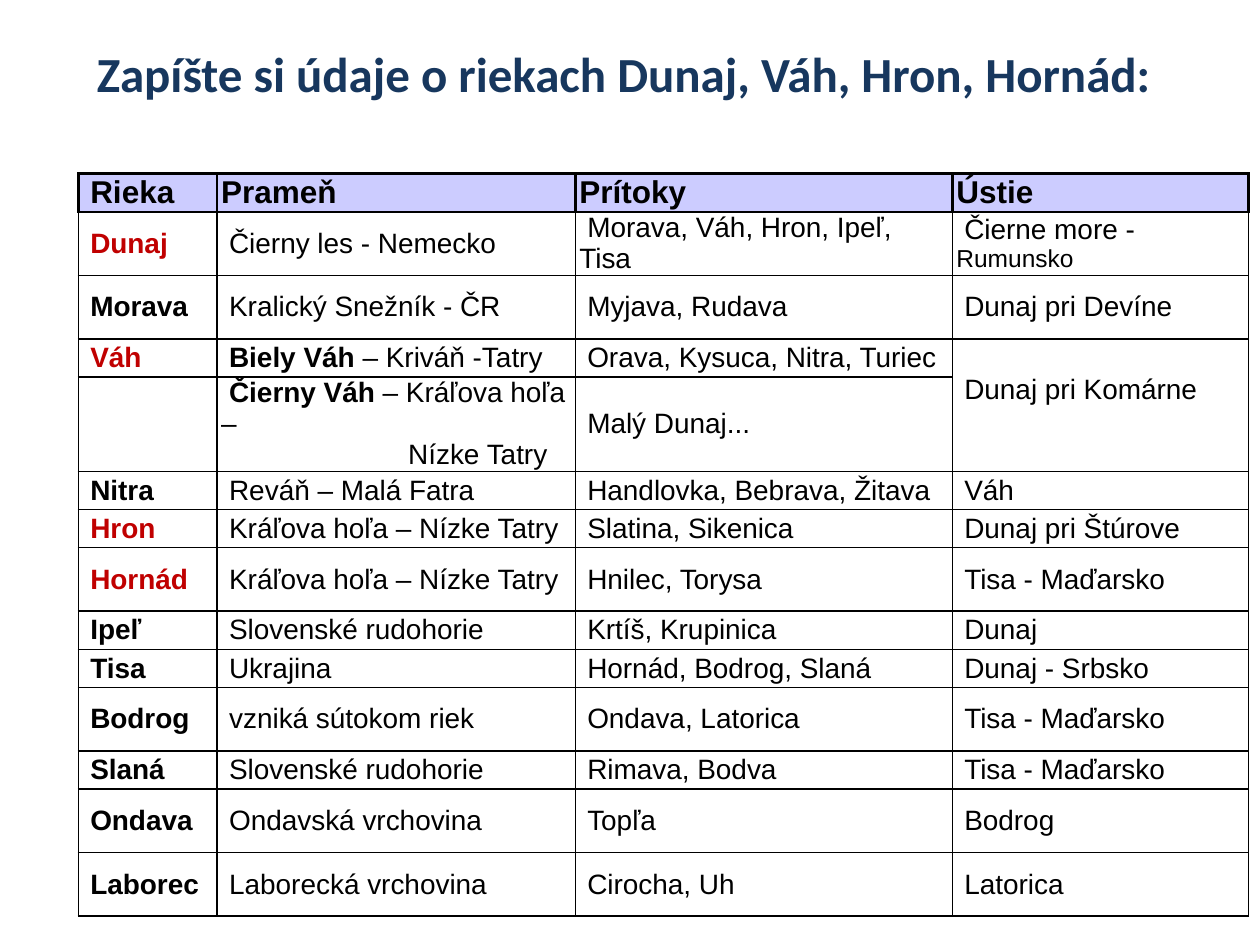
from dataclasses import dataclass

from lxml import etree
from pptx import Presentation
from pptx import util as u
from pptx.dml.color import RGBColor
from pptx.enum import text
from pptx.oxml import ns


@dataclass(frozen=True)
class Theme:
    title: RGBColor = RGBColor(0x17, 0x37, 0x5E)
    ink: RGBColor = RGBColor(0, 0, 0)
    highlight: RGBColor = RGBColor(0xC0, 0, 0)
    header_fill: RGBColor = RGBColor(0xCC, 0xCC, 0xFF)
    body_fill: RGBColor = RGBColor(0xFF, 0xFF, 0xFF)
    title_font: str = "Calibri"
    table_font: str = "Arial"
    title_size: u.Pt = u.Pt(28)
    header_size: u.Pt = u.Pt(18)
    body_size: u.Pt = u.Pt(16)
    small_size: u.Pt = u.Pt(14)


THEME = Theme()
LOW, TALL, TRIPLE = u.Cm(0.77), u.Cm(1.28), u.Cm(1.9)
FIRST_LINE, DEEP_LINE = u.Cm(0.16), u.Cm(3.77)
COLUMN_WIDTHS = [u.Cm(2.8), u.Cm(7.22), u.Cm(7.6), u.Cm(5.97)]
HIGHLIGHTED = {"Dunaj", "Váh", "Hron", "Hornád"}

# Row height, then the cells; "|" separates runs and a line break separates paragraphs.
ROWS = [
    (LOW, "Rieka", "Prameň", "Prítoky", "Ústie"),
    (TALL, "Dunaj", "Čierny les - Nemecko", "Morava, Váh, Hron, Ipeľ, Tisa", "Čierne more - |Rumunsko"),
    (TALL, "Morava", "Kralický Snežník - ČR", "Myjava, Rudava", "Dunaj pri Devíne"),
    (LOW, "Váh", "Biely Váh| – Kriváň -Tatry", "Orava, Kysuca, Nitra, Turiec", "Dunaj pri Komárne"),
    (TRIPLE, "", "Čierny Váh| – Kráľova hoľa –\nNízke Tatry", "Malý Dunaj...", ""),
    (LOW, "Nitra", "Reváň – Malá Fatra", "Handlovka, Bebrava, Žitava", "Váh"),
    (LOW, "Hron", "Kráľova hoľa – Nízke Tatry", "Slatina, Sikenica", "Dunaj pri Štúrove"),
    (TALL, "Hornád", "Kráľova hoľa – Nízke Tatry", "Hnilec, Torysa", "Tisa - Maďarsko"),
    (LOW, "Ipeľ", "Slovenské rudohorie", "Krtíš, Krupinica", "Dunaj"),
    (LOW, "Tisa", "Ukrajina", "Hornád, Bodrog, Slaná", "Dunaj - Srbsko"),
    (TALL, "Bodrog", "vzniká sútokom riek", "Ondava, Latorica", "Tisa - Maďarsko"),
    (LOW, "Slaná", "Slovenské rudohorie", "Rimava, Bodva", "Tisa - Maďarsko"),
    (TALL, "Ondava", "Ondavská vrchovina", "Topľa", "Bodrog"),
    (TALL, "Laborec", "Laborecká vrchovina", "Cirocha, Uh", "Latorica"),
]


def set_borders(cell, top, others):
    """Draw the four cell borders; call before the fill is set."""
    properties = cell._tc.get_or_add_tcPr()
    for side in ("L", "R", "T", "B"):
        width = top if side == "T" else others
        line = etree.SubElement(properties, ns.qn(f"a:ln{side}"), w=str(width))
        fill = etree.SubElement(line, ns.qn("a:solidFill"))
        etree.SubElement(fill, ns.qn("a:srgbClr"), val=str(THEME.ink))


def write_paragraph(paragraph, content, indent, size, bold, color):
    properties = paragraph._p.get_or_add_pPr()
    properties.set("marL", "0")
    properties.set("indent", str(indent))
    for part in content.split("|"):
        if part:
            paragraph.add_run().text = part
    paragraph.font.name = THEME.table_font
    paragraph.font.size = size
    paragraph.font.bold = bold
    paragraph.font.color.rgb = color


presentation = Presentation()
presentation.slide_width, presentation.slide_height = u.Cm(25.4), u.Cm(19.05)
slide = presentation.slides.add_slide(presentation.slide_layouts[5])

title = slide.shapes.title
title.left, title.top, title.width, title.height = u.Cm(1.7), u.Cm(0.74), u.Cm(22.8), u.Cm(1.45)
title.text_frame.text = "Zapíšte si údaje o riekach Dunaj, Váh, Hron, Hornád:"
title.text_frame.vertical_anchor = text.MSO_ANCHOR.TOP
title.text_frame.auto_size = text.MSO_AUTO_SIZE.NONE
heading = title.text_frame.paragraphs[0]
heading.alignment = text.PP_ALIGN.LEFT
heading.font.name = THEME.title_font
heading.font.size = THEME.title_size
heading.font.bold = True
heading.font.color.rgb = THEME.title

table = slide.shapes.add_table(
    len(ROWS), len(COLUMN_WIDTHS), u.Cm(1.58), u.Cm(3.5),
    sum(COLUMN_WIDTHS), sum(row[0] for row in ROWS),
).table
table.first_row = table.horz_banding = False
for column, width in zip(table.columns, COLUMN_WIDTHS):
    column.width = width

for row_index, (height, *contents) in enumerate(ROWS):
    table.rows[row_index].height = height
    header = row_index == 0
    for column_index, content in enumerate(contents):
        cell = table.cell(row_index, column_index)
        set_borders(cell, u.Pt(1.5 if row_index < 2 else 1), u.Pt(1.5 if header else 1))
        cell.fill.solid()
        cell.fill.fore_color.rgb = THEME.header_fill if header else THEME.body_fill
        cell.margin_left = cell.margin_right = u.Cm(0.08)
        cell.margin_top = cell.margin_bottom = 0
        cell.vertical_anchor = text.MSO_ANCHOR.MIDDLE
        river = column_index == 0
        for line_index, line in enumerate(content.split("\n")):
            frame = cell.text_frame
            paragraph = frame.add_paragraph() if line_index else frame.paragraphs[0]
            indent = DEEP_LINE if line_index else 0 if header and not river else FIRST_LINE
            write_paragraph(
                paragraph, line, indent,
                THEME.header_size if header else THEME.body_size,
                header or river,
                THEME.highlight if river and line in HIGHLIGHTED else THEME.ink,
            )

table.cell(1, 3).text_frame.paragraphs[0].runs[1].font.size = THEME.small_size
for row_index in (3, 4):
    table.cell(row_index, 1).text_frame.paragraphs[0].runs[0].font.bold = True

vah_mouth = table.cell(3, 3)
vah_mouth.merge(table.cell(4, 3))
vah_mouth.margin_bottom = u.Cm(0.62)

presentation.save("out.pptx")
